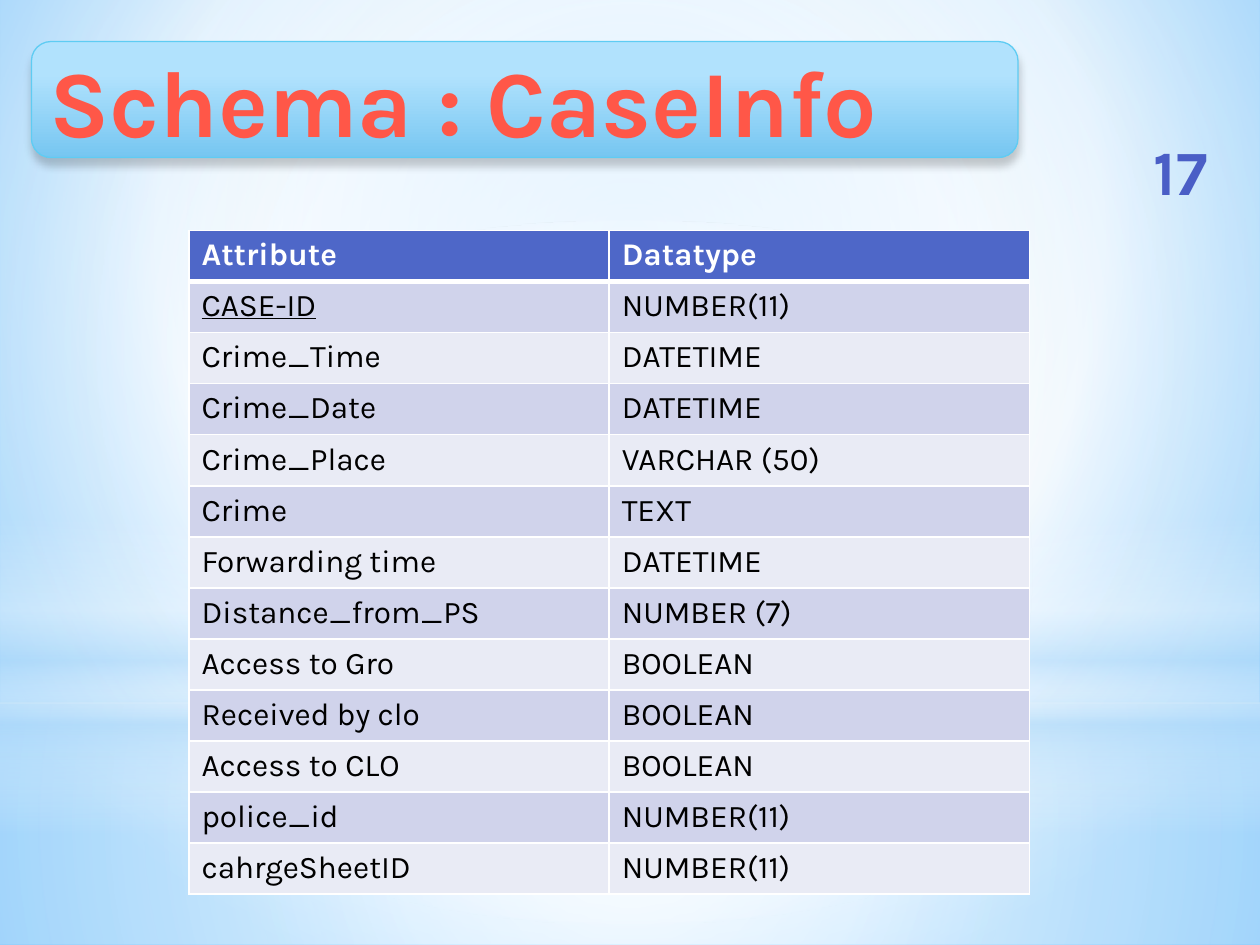
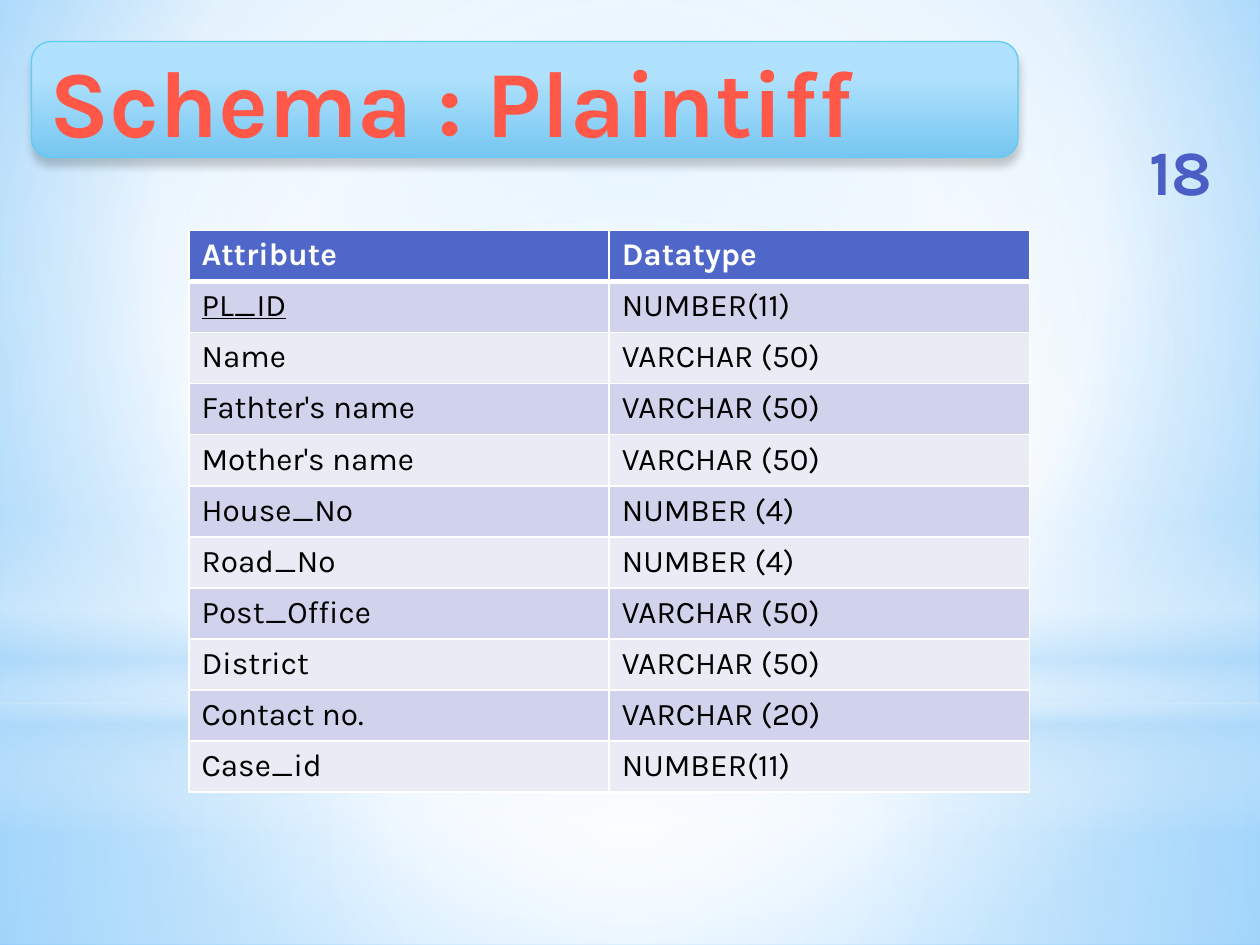
from lxml import etree
from pptx import Presentation
from pptx.dml.color import RGBColor
from pptx.enum.shapes import MSO_SHAPE as Preset
from pptx.enum.text import MSO_ANCHOR as Anchor, MSO_AUTO_SIZE as AutoSize, PP_ALIGN as Align
from pptx.oxml.ns import qn
from pptx.util import Inches, Pt

FONT = "Karla"
COLORS = {
    "white": "FFFFFF",
    "black": "000000",
    "sky": "9ED5FF",
    "deep_sky": "5BB9FF",
    "haze": "B4DCFA",
    "header": "4E67C8",
    "band_dark": "D0D3EB",
    "band_light": "E9EBF5",
    "panel_top": "B1E2FD",
    "panel_bottom": "76C6F1",
    "panel_line": "5ECCF3",
    "red_edge": "FF6155",
    "red": "FF5748",
    "red_core": "EF3718",
    "blue_top": "717FD2",
    "blue": "4A5EC6",
    "blue_core": "324CB5",
    "blue_low": "31479D",
    "blue_bottom": "30469A",
}
DOWNWARD = 90 * 60000  # angle in 60000ths of a degree

# Gradient stops are (position %, colour, optional opacity %).
BACKGROUND_STOPS = [(0, "sky"), (60, "white"), (100, "deep_sky")]
PANEL_STOPS = [(28, "panel_top"), (100, "panel_bottom")]
TITLE_STOPS = [(0, "red_edge"), (25, "red"), (50, "red_core"), (75, "red"), (100, "red_edge")]
NUMBER_STOPS = [(0, "blue_top"), (49, "blue"), (50, "blue_core"),
                (92, "blue_low"), (100, "blue_bottom")]

# A focus gives a circular gradient: left, top, right and bottom insets in %.
BACKGROUND_FOCUS = (20, 10, 20, 60)
CENTER = (50, 50, 50, 50)

# Preset, box in inches, gradient stops, focus
HAZE_LAYERS = [
    (Preset.RECTANGLE, (0, 5.58, 10, 1.92),
     [(0, "white", 91), (37, "white", 76), (100, "haze", 79)], CENTER),
    (Preset.RECTANGLE, (0, 0, 10, 5.58),
     [(0, "white", 89), (48, "white", 62), (100, "haze", 79)], CENTER),
    (Preset.RECTANGLE, (0, 4.12, 10, 2.5),
     [(0, "white", 0), (29, "white", 30), (45, "haze", 40), (55, "white", 26),
      (65, "haze", 60), (100, "white", 0)], None),
    (Preset.OVAL, (0, 1.75, 10, 5.58), [(0, "white"), (56, "white", 0)], CENTER),
]
PANEL_BOX = (0.25, 0.33, 7.83, 0.92)
TITLE_BOX = (0.29, 0.33, 7.75, 0.92)
NUMBER_BOX = (8.88, 1.08, 0.98, 0.54)

TABLE_LEFT, TABLE_TOP = Inches(1.5), Inches(1.83)
TABLE_WIDTH = Inches(6.67)
ROW_HEIGHT = Inches(4.46) // 11
TABLE_HEADER = ("Attribute", "Datatype")

FIRST_NUMBER = 17
SCHEMAS = {
    "CaseInfo": [
        ("CASE-ID", "NUMBER(11)"),
        ("Crime_Time", "DATETIME"),
        ("Crime_Date", "DATETIME"),
        ("Crime_Place", "VARCHAR (50)"),
        ("Crime", "TEXT"),
        ("Forwarding time", "DATETIME"),
        ("Distance_from_PS", "NUMBER (7)"),
        ("Access to Gro", "BOOLEAN"),
        ("Received by clo", "BOOLEAN"),
        ("Access to CLO", "BOOLEAN"),
        ("police_id", "NUMBER(11)"),
        ("cahrgeSheetID", "NUMBER(11)"),
    ],
    "Plaintiff": [
        ("PL_ID", "NUMBER(11)"),
        ("Name", "VARCHAR (50)"),
        ("Fathter's name", "VARCHAR (50)"),
        ("Mother's name", "VARCHAR (50)"),
        ("House_No", "NUMBER (4)"),
        ("Road_No", "NUMBER (4)"),
        ("Post_Office", "VARCHAR (50)"),
        ("District", "VARCHAR (50)"),
        ("Contact no.", "VARCHAR (20)"),
        ("Case_id", "NUMBER(11)"),
    ],
}


def rgb(color):
    return RGBColor.from_string(COLORS[color])


def add_child(parent, tag, **attributes):
    child = etree.SubElement(parent, qn(tag))
    for key, value in attributes.items():
        child.set(key, str(value))
    return child


def add_color(parent, color, opacity=100):
    value = add_child(parent, "a:srgbClr", val=COLORS[color])
    if opacity < 100:
        add_child(value, "a:alpha", val=opacity * 1000)


def fill_gradient(fill, parent, stops, focus=None):
    """Give the fill held by the XML parent a gradient, circular if it has a focus."""
    gradient = etree.Element(qn("a:gradFill"), rotWithShape="1")
    stop_list = add_child(gradient, "a:gsLst")
    for position, *color in stops:
        add_color(add_child(stop_list, "a:gs", pos=position * 1000), *color)
    if focus:
        insets = {side: inset * 1000 for side, inset in zip("ltrb", focus)}
        circle = add_child(gradient, "a:path", path="circle")
        add_child(circle, "a:fillToRect", **insets)
    else:
        add_child(gradient, "a:lin", ang=DOWNWARD, scaled=0)
    fill.solid()  # puts a placeholder fill at the valid position
    parent.replace(parent.find(qn("a:solidFill")), gradient)


def write(frame, text, size=18, color="black", stops=None, bold=False,
          underline=False, align=Align.LEFT):
    paragraph = frame.paragraphs[0]
    paragraph.alignment = align
    run = paragraph.add_run()
    run.text = text
    font = run.font
    font.name, font.size = FONT, Pt(size)
    font.bold, font.underline = bold, underline
    if stops:
        fill_gradient(font.fill, run._r.get_or_add_rPr(), stops)
    else:
        font.color.rgb = rgb(color)


def add_gradient_shape(slide, preset, box, stops, focus=None):
    shape = slide.shapes.add_shape(preset, *map(Inches, box))
    shape.shadow.inherit = False
    shape.line.fill.background()
    fill_gradient(shape.fill, shape.element.spPr, stops, focus)
    return shape


def add_title_panel(slide):
    panel = add_gradient_shape(slide, Preset.ROUNDED_RECTANGLE, PANEL_BOX, PANEL_STOPS)
    panel.line.color.rgb = rgb("panel_line")
    panel.line.width = Pt(0.75)
    effects = panel.element.spPr.find(qn("a:effectLst"))
    shadow = add_child(effects, "a:outerShdw", blurRad=Pt(5), dist=Pt(4),
                       dir=DOWNWARD, rotWithShape=0)
    add_color(shadow, "black", 20)
    return panel


def decorate_master(master, slide):
    """Build the shared backdrop on a slide, then move it behind the master's placeholders."""
    background = master.background.fill
    background.solid()
    fill_gradient(background, master.element.find(".//" + qn("p:bgPr")),
                  BACKGROUND_STOPS, BACKGROUND_FOCUS)
    backdrop = [add_gradient_shape(slide, *layer) for layer in HAZE_LAYERS]
    backdrop.append(add_title_panel(slide))
    tree = master.element.find(".//" + qn("p:spTree"))
    first_position, first_id = 2, 20  # after the group's properties; ids unused there
    for index, shape in enumerate(backdrop):
        shape.element.find(".//" + qn("p:cNvPr")).set("id", str(first_id + index))
        tree.insert(first_position + index, shape.element)


def add_title(slide, text):
    title = slide.shapes.title
    title.left, title.top, title.width, title.height = map(Inches, TITLE_BOX)
    frame = title.text_frame
    frame.auto_size = AutoSize.NONE
    frame.word_wrap = True
    frame.vertical_anchor = Anchor.MIDDLE
    write(frame, text, size=54, stops=TITLE_STOPS, bold=True)


def add_slide_number(slide, number):
    frame = slide.shapes.add_textbox(*map(Inches, NUMBER_BOX)).text_frame
    frame.word_wrap = True
    frame.vertical_anchor = Anchor.MIDDLE
    write(frame, str(number), size=36, stops=NUMBER_STOPS, bold=True, align=Align.CENTER)


def set_borders(cell, bottom):
    properties = cell._tc.get_or_add_tcPr()
    widths = {"a:lnL": 1, "a:lnR": 1, "a:lnT": 1, "a:lnB": bottom}
    for tag, width in widths.items():
        border = add_child(properties, tag, w=Pt(width))
        add_color(add_child(border, "a:solidFill"), "white")


def style_cell(cell, fill_color, bottom_border=1):
    set_borders(cell, bottom_border)
    cell.fill.solid()
    cell.fill.fore_color.rgb = rgb(fill_color)


def add_schema_table(slide, attributes):
    """Add a header row and banded attribute rows; the first attribute is the key."""
    row_count = 1 + len(attributes)
    table = slide.shapes.add_table(row_count, len(TABLE_HEADER), TABLE_LEFT, TABLE_TOP,
                                   TABLE_WIDTH, ROW_HEIGHT * row_count).table
    for column in table.columns:
        column.width = TABLE_WIDTH // len(TABLE_HEADER)
    for row in table.rows:
        row.height = ROW_HEIGHT

    for column, heading in enumerate(TABLE_HEADER):
        cell = table.cell(0, column)
        style_cell(cell, "header", bottom_border=3)
        write(cell.text_frame, heading, color="white", bold=True)

    for row, attribute in enumerate(attributes, start=1):
        band = "band_dark" if row % 2 else "band_light"
        for column, text in enumerate(attribute):
            cell = table.cell(row, column)
            style_cell(cell, band, bottom_border=1)
            write(cell.text_frame, text, underline=(row, column) == (1, 0))
    for column in range(len(TABLE_HEADER)):
        top_edge = table.cell(1, column)._tc.tcPr.find(qn("a:lnT"))
        top_edge.set("w", str(Pt(3)))  # the same line as the header's bottom edge


def main():
    deck = Presentation()
    deck.slide_width, deck.slide_height = Inches(10), Inches(7.5)
    title_only = deck.slide_layouts[5]
    for number, (name, attributes) in enumerate(SCHEMAS.items(), start=FIRST_NUMBER):
        slide = deck.slides.add_slide(title_only)
        add_schema_table(slide, attributes)
        add_title(slide, f"Schema : {name}")
        add_slide_number(slide, number)
    decorate_master(deck.slide_master, deck.slides[0])
    deck.save("out.pptx")


if __name__ == "__main__":
    main()
